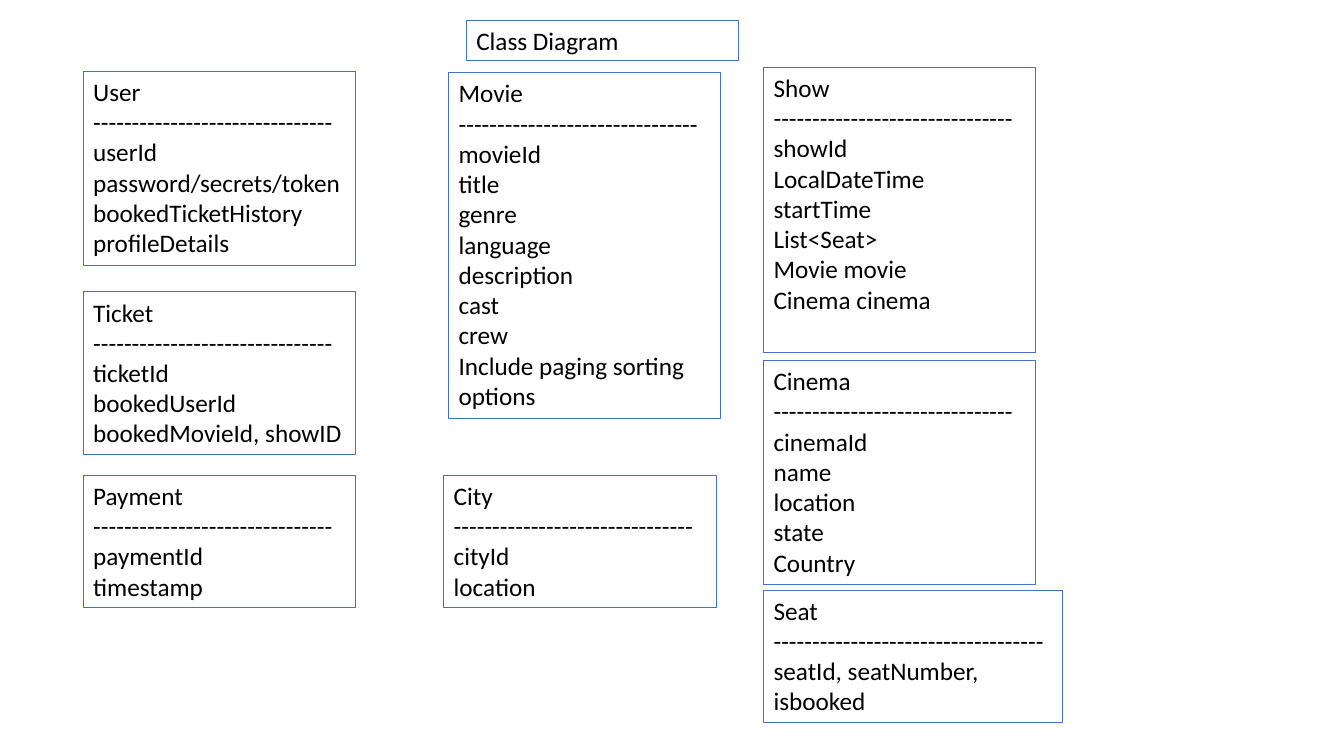
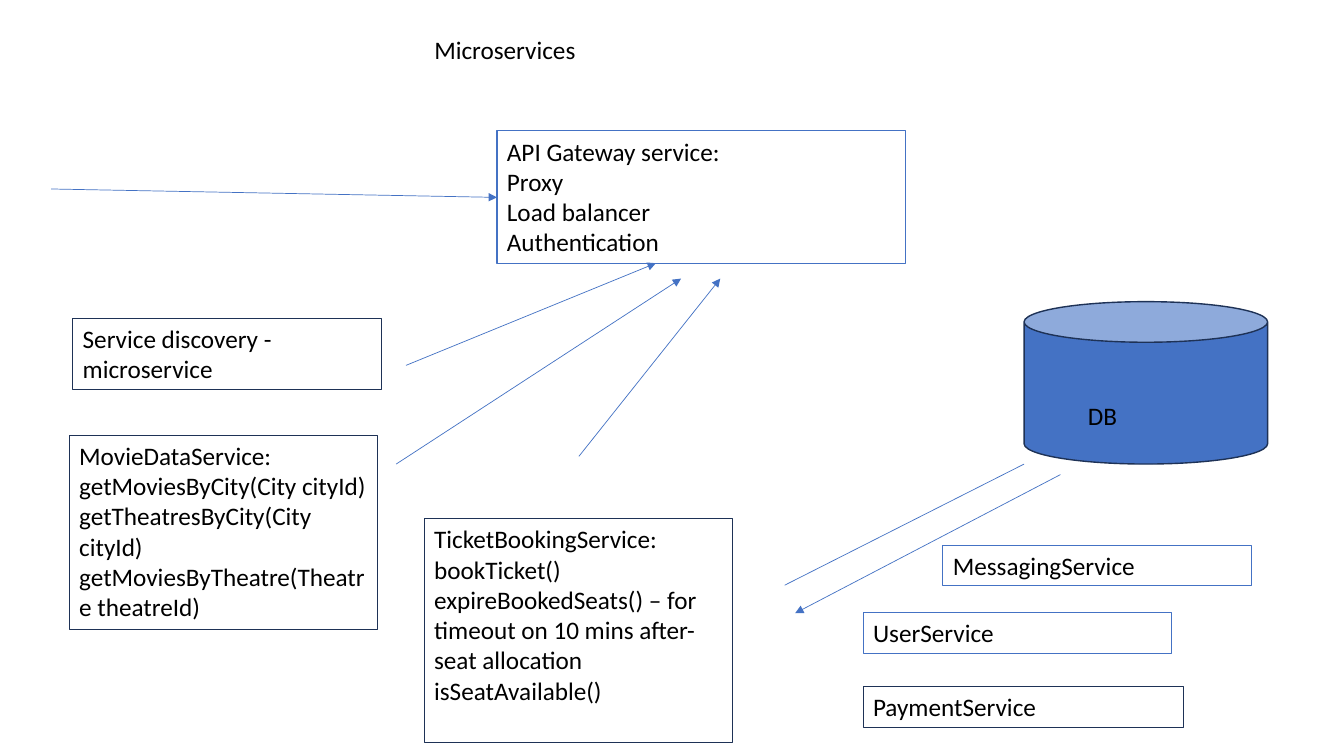
import pptx
import pptx.util
import pptx.dml.color
import pptx.enum.shapes
import pptx.enum.text
import pptx.oxml
import pptx.oxml.ns

Pt = pptx.util.Pt
Color = pptx.dml.color.RGBColor
Kind = pptx.enum.shapes.MSO_SHAPE
Text = pptx.enum.text

BLUE = Color(0x44, 0x72, 0xC4)
NAVY = Color(0x1E, 0x32, 0x56)
BLACK = Color(0, 0, 0)
WHITE = Color(255, 255, 255)
FONT = "Calibri"
SIZE = 18
WIDE = 194.5
BROAD = 220.5
ROW = 29


def place(shape, left, top, width, height):
    shape.left, shape.top = Pt(left), Pt(top)
    shape.width, shape.height = Pt(width), Pt(height)


def write(shape, lines):
    frame = shape.text_frame
    frame.word_wrap = True
    frame.auto_size = Text.MSO_AUTO_SIZE.NONE
    frame.vertical_anchor = Text.MSO_ANCHOR.TOP
    for index, line in enumerate(lines):
        para = frame.paragraphs[0] if index == 0 else frame.add_paragraph()
        para.alignment = Text.PP_ALIGN.LEFT
        run = para.add_run()
        run.text = line
        run.font.name = FONT
        run.font.size = Pt(SIZE)
        run.font.color.rgb = BLACK


def edge(shape, color, weight=0.75):
    shape.line.color.rgb = color
    shape.line.width = Pt(weight)


def title(deck, text, left, top, width):
    slide = deck.slides.add_slide(deck.slide_layouts[5])
    head = slide.shapes.title
    place(head, left, top, width, ROW)
    write(head, [text])
    return slide


def box(slide, left, top, width, height, lines, color=BLUE, fill=None):
    shape = slide.shapes.add_shape(
        Kind.RECTANGLE, Pt(left), Pt(top), Pt(width), Pt(height))
    shape.shadow.inherit = False
    if fill is None:
        shape.fill.background()
    else:
        shape.fill.solid()
        shape.fill.fore_color.rgb = fill
    edge(shape, color)
    write(shape, lines)


def entity(slide, left, top, height, name, fields, width=WIDE, dashes=31):
    box(slide, left, top, width, height, [name, "-" * dashes] + fields)


def link(slide, start, end, arrow=True):
    line = slide.shapes.add_connector(
        pptx.enum.shapes.MSO_CONNECTOR.STRAIGHT,
        Pt(start[0]), Pt(start[1]), Pt(end[0]), Pt(end[1]))
    edge(line, BLUE, 0.5)
    if arrow:
        tail = pptx.oxml.parse_xml(
            "<a:tailEnd %s type='triangle'/>" % pptx.oxml.ns.nsdecls("a"))
        line.line._get_or_add_ln().append(tail)
    line._element.spPr.append(pptx.oxml.parse_xml(
        "<a:effectLst %s/>" % pptx.oxml.ns.nsdecls("a")))


def store(slide, left, top, width, height):
    can = slide.shapes.add_shape(
        Kind.CAN, Pt(left), Pt(top), Pt(width), Pt(height))
    can.shadow.inherit = False
    can.fill.solid()
    can.fill.fore_color.rgb = BLUE
    edge(can, NAVY, 1)


def label(slide, left, top, width, text):
    note = slide.shapes.add_textbox(Pt(left), Pt(top), Pt(width), Pt(ROW))
    write(note, [text])


def classes(deck):
    slide = title(deck, "Class Diagram", 333, 14.5, WIDE)
    edge(slide.shapes.title, BLUE)
    entity(slide, 59.5, 51, 138.5, "User",
           ["userId", "password/secrets/token", "bookedTicketHistory",
            "profileDetails"])
    entity(slide, 59.5, 208.5, 116.5, "Ticket",
           ["ticketId", "bookedUserId", "bookedMovieId, showID"])
    entity(slide, 59.5, 339.5, 94.5, "Payment", ["paymentId", "timestamp"])
    entity(slide, 317, 339.5, 94.5, "City", ["cityId", "location"])
    entity(slide, 320.5, 52, 247, "Movie",
           ["movieId", "title", "genre", "language", "description", "cast",
            "crew", "Include paging sorting options"])
    entity(slide, 545.5, 48, 204, "Show",
           ["showId", "LocalDateTime startTime", "List<Seat>", "Movie movie",
            "Cinema cinema"])
    entity(slide, 545.5, 257.5, 160, "Cinema",
           ["cinemaId", "name", "location", "state", "Country"])
    entity(slide, 545.5, 421.5, 94.5, "Seat",
           ["seatId, seatNumber, isbooked"], 213.5, 35)


def services(deck):
    slide = title(deck, "Microservices", 303, 21, 343.5)
    box(slide, 355, 93.5, 291.5, 94.5,
        ["API Gateway service:", "Proxy", "Load balancer", "Authentication"])
    store(slide, 731.5, 215.5, 174, 116)
    label(slide, 770, 282.5, 114.5, "DB")
    box(slide, 52, 227.5, BROAD, 51,
        ["Service discovery - microservice"], NAVY)
    box(slide, 49.5, 311, BROAD, 138.5,
        ["MovieDataService:", "getMoviesByCity(City cityId)",
         "getTheatresByCity(City cityId)",
         "getMoviesByTheatre(Theatre theatreId)"], NAVY, WHITE)
    box(slide, 303, 370.5, BROAD, 160,
        ["TicketBookingService:", "bookTicket()",
         "expireBookedSeats() – for timeout on 10 mins after-seat allocation",
         "isSeatAvailable()"], NAVY)
    box(slide, 673.5, 389.5, BROAD, ROW, ["MessagingService"])
    box(slide, 616.5, 437.5, BROAD, ROW, ["UserService"])
    box(slide, 616.5, 490.5, 229, ROW, ["PaymentService"], NAVY)
    for start, end in [
            ((36.5, 135), (355, 141)),
            ((290, 261), (468.5, 188)),
            ((283, 331.5), (486.5, 199)),
            ((413.5, 326), (514.5, 199)),
            ((757.5, 339), (568, 438))]:
        link(slide, start, end)
    link(slide, (560.5, 418), (731.5, 331.5), False)


def main():
    deck = pptx.Presentation()
    deck.slide_width, deck.slide_height = Pt(960), Pt(540)
    classes(deck)
    services(deck)
    deck.save("out.pptx")


if __name__ == "__main__":
    main()
